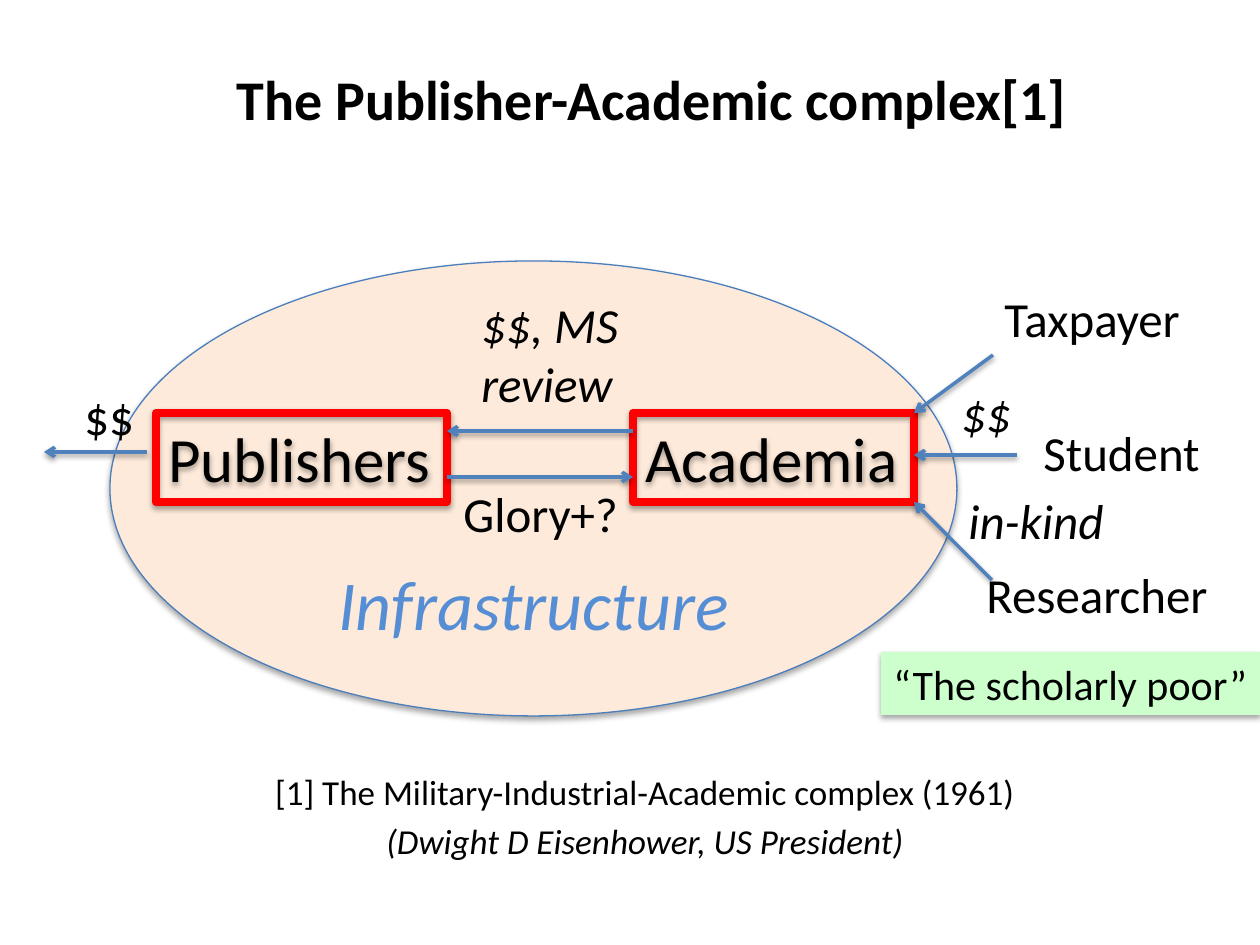
import pptx
import pptx.util
import pptx.dml.color
import pptx.enum.shapes
import pptx.enum.text
import pptx.oxml
import pptx.oxml.ns

RGB = pptx.dml.color.RGBColor
BLACK = RGB(0x00, 0x00, 0x00)
PEACH = RGB(0xFD, 0xEA, 0xDA)
EDGE = RGB(0x4B, 0x7E, 0xBC)
BLUE = RGB(0x4F, 0x81, 0xBD)
SKY = RGB(0x55, 0x8E, 0xD5)
RED = RGB(0xFF, 0x00, 0x00)
GREEN = RGB(0xCC, 0xFF, 0xCC)

KIND = pptx.enum.shapes.MSO_SHAPE
ALIGN = pptx.enum.text.PP_ALIGN
ANCHOR = pptx.enum.text.MSO_ANCHOR
SCALE = 914400 / 126  # EMU in one px
NS = pptx.oxml.ns.nsdecls("a")


def px(*nums):
    return [round(n * SCALE) for n in nums]


def shade(shape, alpha, dist):
    """Give a shape a soft shadow straight below it."""
    shape._element.spPr.append(pptx.oxml.parse_xml(
        f'<a:effectLst {NS}><a:outerShdw blurRad="39370" dist="{dist}" '
        f'dir="5400000" rotWithShape="0"><a:srgbClr val="000000">'
        f'<a:alpha val="{alpha}000"/></a:srgbClr></a:outerShdw></a:effectLst>'))


def write(shape, lines, size, color=BLACK, wrap=False, align=ALIGN.LEFT, gap=0):
    """Fill a shape with lines, each a list of (text, style) runs."""
    frame = shape.text_frame
    frame.word_wrap = wrap
    frame.vertical_anchor = ANCHOR.TOP
    for i, runs in enumerate(lines):
        para = frame.add_paragraph() if i else frame.paragraphs[0]
        para.alignment = align
        if i and gap:
            para.space_before = pptx.util.Pt(gap)
        for text, style in runs:
            run = para.add_run()
            run.text = text
            font = run.font
            font.name, font.size = "Calibri", pptx.util.Pt(size)
            font.bold, font.italic = "b" in style, "i" in style
            font.color.rgb = color


def label(slide, box, lines, size=28, **opts):
    write(slide.shapes.add_textbox(*px(*box)), lines, size, **opts)


def block(slide, kind, box, fill=None, line=None, width=1):
    shape = slide.shapes.add_shape(kind, *px(*box))
    if fill is None:
        shape.fill.background()
    else:
        shape.fill.solid()
        shape.fill.fore_color.rgb = fill
    if line is None:
        shape.line.fill.background()
    else:
        shape.line.color.rgb = line
        shape.line.width = pptx.util.Pt(width)
    return shape


def arrow(slide, x1, y1, x2, y2):
    straight = pptx.enum.shapes.MSO_CONNECTOR.STRAIGHT
    link = slide.shapes.add_connector(straight, *px(x1, y1, x2, y2))
    link.line.color.rgb = BLUE
    link.line.width = pptx.util.Pt(2)
    link.line._get_or_add_ln().append(
        pptx.oxml.parse_xml(f'<a:tailEnd {NS} type="arrow"/>'))
    shade(link, 38, 20320)


def title(slide, box):
    label(slide, box, [[("The Publisher-Academic complex[1]", "b")]], 32,
          wrap=True, align=ALIGN.CENTER)


def core(slide, x, y, w, h):
    """The ellipse with both parties and what flows between them."""
    oval = block(slide, KIND.OVAL, (x, y, w, h), PEACH, EDGE, 0.75)
    shade(oval, 35, 22860)

    # Parties
    for name, left, wide in (("Publishers", 46, 291), ("Academia", 523, 281)):
        party = block(slide, KIND.RECTANGLE, (x + left, y + 152, wide, 89),
                      line=RED, width=4.5)
        write(party, [[(name, "")]], 36)

    # Flows between the parties, and money out to the left
    for start, end, top in ((337, 523, 216), (523, 337, 170), (37, -66, 191)):
        arrow(slide, x + start, y + top, x + end, y + top)
    label(slide, (x + 341, y + 216, 181, 72), [[("Glory+?", "")]])
    label(slide, (x + 359, y + 27, 176, 131),
          [[("$$, MS", "i")], [("review", "i")]])
    label(slide, (x - 38, y + 119, 76, 72), [[("$$", "")]])
    label(slide, (x + 216, y + 293, 438, 97),
          [[("Infrastructure", "i")]], 40, color=SKY)


def funders(slide, x, y):
    """Those who feed Academia, whose right edge is at x."""
    for x1, y1, y2 in ((79, 73, 131), (103, 173, 173), (78, 298, 220)):
        arrow(slide, x + x1, y + y1, x, y + y2)
    for text, style, left, top, wide in (
            ("Taxpayer", "", 78, 0, 209),
            ("Student", "", 117, 134, 184),
            ("Researcher", "", 60, 276, 251),
            ("$$", "i", 35, 95, 88),
            ("in-kind", "i", 42, 202, 174)):
        label(slide, (x + left, y + top, wide, 72), [[(text, style)]])


def poor(slide, box):
    tag = block(slide, KIND.RECTANGLE, box, GREEN)
    write(tag, [[("“The scholarly poor”", "")]], 24)


def note(slide, box):
    label(slide, box,
          [[("[1] The Military-Industrial-Academic complex (1961)", "")],
           [("(Dwight D Eisenhower, US President)", "i")]],
          20, wrap=True, align=ALIGN.CENTER, gap=4)


def main():
    deck = pptx.Presentation()
    deck.slide_width, deck.slide_height = px(1260, 945)
    slide = deck.slides.add_slide(deck.slide_layouts[6])
    core(slide, 110, 261, 847, 455)
    funders(slide, 914, 282)
    title(slide, (85, 58, 1134, 101))
    poor(slide, (881, 652, 379, 63))
    note(slide, (80, 764, 1130, 137))
    deck.save("out.pptx")


if __name__ == "__main__":
    main()
